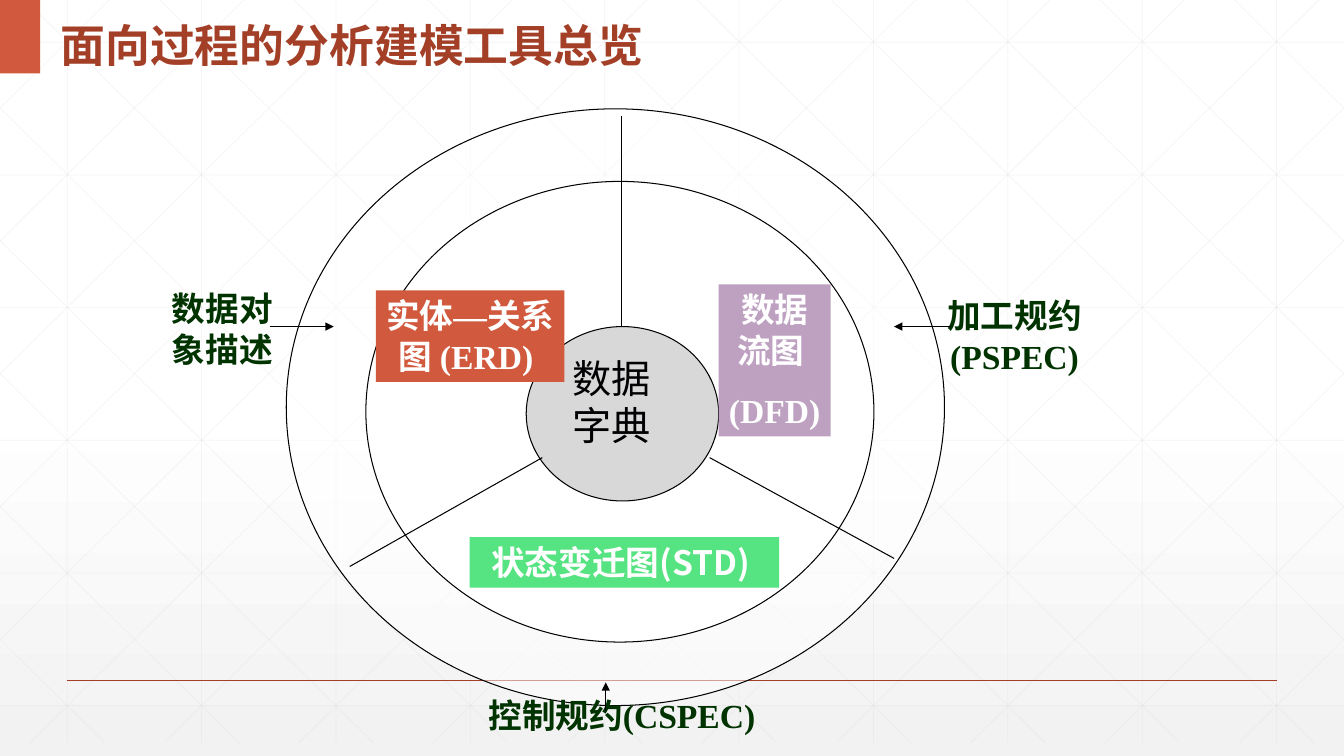
from lxml import etree
from pptx import Presentation
from pptx.dml.color import RGBColor
from pptx.enum.shapes import MSO_CONNECTOR, MSO_SHAPE
from pptx.enum.text import MSO_ANCHOR, PP_ALIGN
from pptx.oxml.ns import qn
from pptx.util import Inches, Pt

RECTANGLE, OVAL = MSO_SHAPE.RECTANGLE, MSO_SHAPE.OVAL
STRAIGHT = MSO_CONNECTOR.STRAIGHT
LEFT, CENTER = PP_ALIGN.LEFT, PP_ALIGN.CENTER
TOP, MIDDLE = MSO_ANCHOR.TOP, MSO_ANCHOR.MIDDLE

# The grid has square cells of a tenth of an inch
CELL = 0.1
COLUMNS, ROWS = 133.33, 75

COLORS = {
    "white": "FFFFFF", "black": "000000", "ink": "010103", "mist": "F2F2F2",
    "mesh": "D9D9D9", "rust": "A43F27", "brick": "D15A3E", "hub": "B2B2B2",
    "mauve": "BEA1C1", "mint": "56E381", "forest": "003300",
}
SANS, SERIF = "Noto Sans CJK SC", "Times New Roman"
# Latin and East Asian font of each kind of run
FONTS = {"sans": (SANS, SANS), "mixed": (SERIF, SANS), "serif": (SERIF, SERIF)}

TITLE = {"size": 32, "bold": True, "color": "rust"}
TOOL = {"size": 24, "bold": True, "color": "white"}
HUB = {"size": 28, "bold": False, "color": "ink"}
SPECIFICATION = {"size": 24, "bold": True, "color": "forest"}


def cells(*values):
    return [Inches(value * CELL) for value in values]


def add_alpha(parent, percent):
    color = next(parent.iter(qn("a:srgbClr")))
    etree.SubElement(color, qn("a:alpha"), val=str(percent * 1000))


class SlideBuilder:
    def __init__(self, slide):
        self.slide = slide

    def color(self, name):
        return RGBColor.from_string(COLORS[name])

    def background(self, stops):
        fill = self.slide.background.fill
        fill.gradient()
        fill.gradient_angle = 270
        stop_list = next(self.slide.element.iter(qn("a:gsLst")))
        for stop in list(stop_list):
            stop_list.remove(stop)
        for position, name, alpha in stops:
            stop = etree.SubElement(stop_list, qn("a:gs"), pos=str(position * 1000))
            etree.SubElement(stop, qn("a:srgbClr"), val=COLORS[name])
            if alpha < 100:
                add_alpha(stop, alpha)

    def line(self, start, end, color="black", width=0.75, alpha=100, arrow=False):
        connector = self.slide.shapes.add_connector(STRAIGHT, *cells(*start, *end))
        connector.line.color.rgb = self.color(color)
        connector.line.width = Pt(width)
        properties = connector.element.spPr
        outline = properties.find(qn("a:ln"))
        if alpha < 100:
            add_alpha(outline, alpha)
        if arrow:
            etree.SubElement(outline, qn("a:tailEnd"), type="triangle")
        etree.SubElement(properties, qn("a:effectLst"))

    def shape(self, kind, box, fill, alpha=100, outlined=False):
        shape = self.slide.shapes.add_shape(kind, *cells(*box))
        shape.shadow.inherit = False
        shape.fill.solid()
        shape.fill.fore_color.rgb = self.color(fill)
        if alpha < 100:
            add_alpha(shape.element.spPr, alpha)
        if outlined:
            shape.line.color.rgb = self.color("black")
            shape.line.width = Pt(0.75)
        else:
            shape.line.fill.background()
        return shape

    def text_box(self, box, paragraphs, style, **layout):
        shape = self.slide.shapes.add_textbox(*cells(*box))
        self.set_text(shape, paragraphs, style, **layout)

    def set_text(self, shape, paragraphs, style, align=CENTER, anchor=TOP, spacing=None):
        frame = shape.text_frame
        frame_format = {
            "word_wrap": True, "vertical_anchor": anchor,
            "margin_left": Inches(0.09), "margin_right": Inches(0.09),
            "margin_top": Inches(0.05), "margin_bottom": Inches(0.05),
        }
        for name, value in frame_format.items():
            setattr(frame, name, value)
        for index, runs in enumerate(paragraphs):
            paragraph = frame.add_paragraph() if index else frame.paragraphs[0]
            paragraph.alignment = align
            paragraph.line_spacing = spacing
            if index:
                paragraph.space_before = Pt(14)
            for text, font_kind in runs:
                self.add_run(paragraph, text, font_kind, style)

    def add_run(self, paragraph, text, font_kind, style):
        run = paragraph.add_run()
        run.text = text
        latin, east_asian = FONTS[font_kind]
        font_format = {"size": Pt(style["size"]), "bold": style["bold"], "name": latin}
        for name, value in font_format.items():
            setattr(run.font, name, value)
        run.font.color.rgb = self.color(style["color"])
        etree.SubElement(run._r.get_or_add_rPr(), qn("a:ea"), typeface=east_asian)


def draw_mesh(builder):
    step, bottom, reach = 13.33, 73.7, 74.55
    mesh = {"color": "mesh", "width": 0.5, "alpha": 25}
    for column in range(10):
        x = 6.67 + column * step
        builder.line((x, 0), (x, bottom), **mesh)
    for row in range(6):
        y = 4.2 + row * 13.16
        builder.line((0, y), (COLUMNS, y), **mesh)
    # Diagonals are clipped at the slide edges, then mirrored
    slope = bottom / reach
    for index in range(-5, 10):
        origin = 2.5 + index * step
        left, right = max(origin, 0), min(origin + reach, COLUMNS)
        top, low = (left - origin) * slope, (right - origin) * slope
        builder.line((left, top), (right, low), **mesh)
        builder.line((COLUMNS - left, top), (COLUMNS - right, low), **mesh)


def draw_wheel(builder):
    # Rings and hub
    builder.shape(OVAL, (28.4, 10.8, 65.3, 59.2), "white", alpha=50, outlined=True)
    builder.shape(OVAL, (36.3, 18, 50.4, 45.7), "white", outlined=True)
    builder.shape(OVAL, (52.2, 32.4, 19.1, 17.3), "hub", alpha=50, outlined=True)
    # Spokes
    for start, end in (
        ((61.7, 11.5), (61.7, 32.4)),
        ((34.7, 56.2), (53.8, 45.4)),
        ((70.4, 45.4), (88.7, 55.4)),
    ):
        builder.line(start, end)
    # Modelling tools
    entity_runs = [("实体", "sans"), ("—", "serif"), ("关系图 ", "sans"), ("(ERD) ", "serif")]
    for box, fill, paragraphs in (
        ((37.3, 28.8, 18.7, 9.1), "brick", [entity_runs]),
        ((71.3, 28.2, 11.1, 15.1), "mauve", [[("数据流图 ", "sans")], [("(DFD)", "serif")]]),
        ((46.6, 53.3, 30.7, 5), "mint", [[("状态变迁图(STD) ", "sans")]]),
    ):
        builder.set_text(builder.shape(RECTANGLE, box, fill), paragraphs, TOOL)
    builder.text_box((55.9, 34.7, 11.1, 10.4), [[("数据字典", "sans")]], HUB, align=LEFT)


def draw_specifications(builder):
    for box, text in (
        ((14.9, 28.1, 14.3, 9.1), "数据对象描述"),
        ((46.6, 68.4, 30.2, 5), "控制规约(CSPEC)"),
        ((92.7, 28.8, 15.9, 9.1), "加工规约(PSPEC)"),
    ):
        builder.text_box(box, [[(text, "mixed")]], SPECIFICATION)
    for start, end in (
        ((26.8, 32.4), (33.1, 32.4)),
        ((94.3, 32.4), (88.7, 32.4)),
        ((60.1, 70.5), (60.1, 67.7)),
    ):
        builder.line(start, end, arrow=True)


def main():
    presentation = Presentation()
    presentation.slide_width, presentation.slide_height = cells(COLUMNS, ROWS)
    builder = SlideBuilder(presentation.slides.add_slide(presentation.slide_layouts[6]))

    # Backdrop
    builder.background([(0, "white", 100), (53, "white", 100), (100, "mist", 65)])
    draw_mesh(builder)
    builder.line((6.67, 67.5), (126.67, 67.5), color="rust", width=1)

    # Title
    builder.shape(RECTANGLE, (0, 0, 4, 7.3), "brick")
    builder.text_box((5.1, 0, 67.5, 7.3), [[("面向过程的分析建模工具总览", "sans")]],
                     TITLE, align=LEFT, anchor=MIDDLE, spacing=1.3)

    # Diagram
    draw_wheel(builder)
    draw_specifications(builder)
    presentation.save("out.pptx")


if __name__ == "__main__":
    main()
